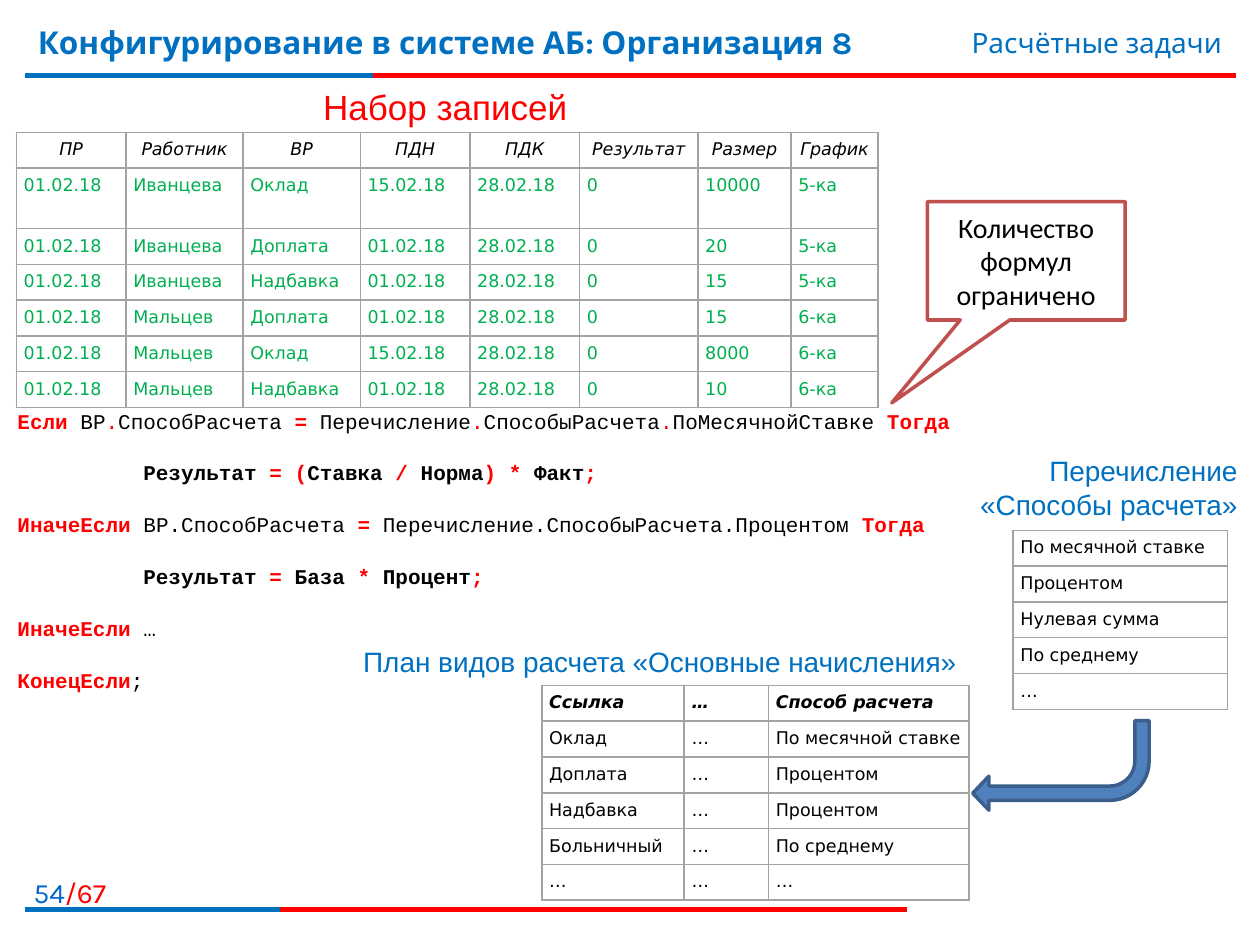
from lxml import etree
from pptx import Presentation
from pptx.dml.color import RGBColor
from pptx.enum.shapes import MSO_CONNECTOR, MSO_SHAPE
from pptx.enum.text import MSO_ANCHOR, MSO_AUTO_SIZE, PP_ALIGN
from pptx.oxml import parse_xml
from pptx.oxml.ns import nsdecls, qn
from pptx.util import Inches, Pt

LEFT, CENTER, RIGHT = PP_ALIGN.LEFT, PP_ALIGN.CENTER, PP_ALIGN.RIGHT
TOP, MIDDLE = MSO_ANCHOR.TOP, MSO_ANCHOR.MIDDLE
STRAIGHT = MSO_CONNECTOR.STRAIGHT

BLACK = RGBColor(0x00, 0x00, 0x00)
WHITE = RGBColor(0xFF, 0xFF, 0xFF)
RED = RGBColor(0xFF, 0x00, 0x00)
BLUE = RGBColor(0x00, 0x70, 0xC0)
NUMBER_BLUE = RGBColor(0x00, 0x66, 0xCC)
GREEN = RGBColor(0x00, 0xB0, 0x50)
CALLOUT_RED = RGBColor(0xC0, 0x50, 0x4D)
ARROW_FILL = RGBColor(0x4F, 0x81, 0xBD)
ARROW_EDGE = RGBColor(0x3A, 0x5F, 0x8C)
BORDER = "A3A3A3"

presentation = Presentation()
presentation.slide_width, presentation.slide_height = Inches(10), Inches(7.5)
# The slide is a grid of 100 columns by 75 rows, with square cells
CELL = presentation.slide_width // 100
slide = presentation.slides.add_slide(presentation.slide_layouts[5])
shapes = slide.shapes


def grid(*cells):
    return [round(cell * CELL) for cell in cells]


def write(paragraph, text, *, size, font, color, bold=False, italic=False, align=LEFT):
    paragraph.alignment = align
    run = paragraph.add_run()
    run.text = text
    run.font.size, run.font.name = Pt(size), font
    run.font.bold, run.font.italic = bold, italic
    run.font.color.rgb = color


# Header and footer rules: a red line with a blue start
for row, red_end, blue_end in [(6, 98.1, 29.6), (72.2, 72, 22.2)]:
    for end, color in [(red_end, RED), (blue_end, BLUE)]:
        rule = shapes.add_connector(STRAIGHT, *grid(2, row, end, row))
        rule.line.color.rgb, rule.line.width = color, Pt(3)
        etree.SubElement(rule._element.spPr, qn("a:effectLst"))

# Course title
course = shapes.title
course.left, course.top, course.width, course.height = grid(2, 1.3, 74, 6.2)
course.text_frame.vertical_anchor = TOP
course.text_frame.auto_size = MSO_AUTO_SIZE.NONE
write(course.text_frame.paragraphs[0], "Конфигурирование в системе АБ: Организация 8",
      size=18, font="Karla", color=BLUE, bold=True)

# Topic, slide number and captions: place, alignment, size, font, runs
labels = [
    ((59.4, 1.5, 38.6, 3.7), RIGHT, 16, "Karla", [("Расчётные задачи", BLUE)]),
    ((0, 69, 9.4, 3.2), RIGHT, 16, "Karla", [("54", NUMBER_BLUE), ("/67", RED)]),
    ((1.2, 6.3, 68.3, 4.4), CENTER, 20, "Arial", [("Набор записей", RED)]),
    ((72, 35.5, 27.2, 6.4), RIGHT, 16, "Arial", [("Перечисление «Способы расчета»", BLUE)]),
    ((26.4, 50.7, 50.5, 3.7), RIGHT, 16, "Arial",
     [("План видов расчета «Основные начисления»", BLUE)]),
]
for place, align, size, font, runs in labels:
    frame = shapes.add_textbox(*grid(*place)).text_frame
    frame.word_wrap = True
    for text, color in runs:
        write(frame.paragraphs[0], text, size=size, font=font, color=color, align=align)

# Tables
month_start, month_middle, month_end = "01.02.18", "15.02.18", "28.02.18"
entries = [
    ("Иванцева", "Оклад", month_middle, "10000", "5-ка"),
    ("Иванцева", "Доплата", month_start, "20", "5-ка"),
    ("Иванцева", "Надбавка", month_start, "15", "5-ка"),
    ("Мальцев", "Доплата", month_start, "15", "6-ка"),
    ("Мальцев", "Оклад", month_middle, "8000", "6-ка"),
    ("Мальцев", "Надбавка", month_start, "10", "6-ка"),
]
records = [("ПР", "Работник", "ВР", "ПДН", "ПДК", "Результат", "Размер", "График")]
for worker, kind, start, amount, schedule in entries:
    records.append((month_start, worker, kind, start, month_end, "0", amount, schedule))
charges = [
    ("Ссылка", "…", "Способ расчета"),
    ("Оклад", "…", "По месячной ставке"),
    ("Доплата", "…", "Процентом"),
    ("Надбавка", "…", "Процентом"),
    ("Больничный", "…", "По среднему"),
    ("…", "…", "…"),
]
methods = [("По месячной ставке",), ("Процентом",), ("Нулевая сумма",),
           ("По среднему",), ("…",)]

ROW = 2.78
TALL_ROW = 4.8
plain = dict(color=BLACK)
tables = [
    (records, (1.3, 10.5), (8.7, 9.3, 9.3, 8.7, 8.7, 9.4, 7.4, 6.9),
     dict(color=BLACK, italic=True, align=CENTER), dict(color=GREEN)),
    (charges, (43, 54.4), (11.3, 6.7, 15.9),
     dict(color=BLACK, bold=True, italic=True), plain),
    (methods, (80.4, 42.1), (17,), plain, plain),
]
for rows, corner, widths, head_format, body_format in tables:
    table = shapes.add_table(len(rows), len(widths),
                             *grid(*corner, sum(widths), ROW * len(rows))).table
    table.first_row = table.horz_banding = False
    for column, width in zip(table.columns, grid(*widths)):
        column.width = width
    for r, values in enumerate(rows):
        tall = rows is records and r == 1
        table.rows[r].height = grid(TALL_ROW if tall else ROW)[0]
        for c, value in enumerate(values):
            cell = table.cell(r, c)
            cell.margin_left = cell.margin_right = Pt(4.2)
            cell.margin_top = cell.margin_bottom = Pt(4.2)
            cell.fill.solid()
            cell.fill.fore_color.rgb = WHITE
            for i, side in enumerate(("lnL", "lnR", "lnT", "lnB")):
                cell._tc.get_or_add_tcPr().insert(i, parse_xml(
                    f'<a:{side} {nsdecls("a")} w="{Pt(1)}"><a:solidFill>'
                    f'<a:srgbClr val="{BORDER}"/></a:solidFill></a:{side}>'))
            write(cell.text_frame.paragraphs[0], value, size=10, font="DejaVu Sans",
                  **(body_format if r else head_format))

# Formula code: each run is a colour, a weight and a text
KEYWORD, NAME, DOT, RESULT = (RED, True), (BLACK, False), (RED, False), (BLACK, True)
code = [
    [(KEYWORD, "Если "), (NAME, "ВР"), (DOT, "."), (NAME, "СпособРасчета "),
     (KEYWORD, "= "), (NAME, "Перечисление"), (DOT, "."), (NAME, "СпособыРасчета"),
     (DOT, "."), (NAME, "ПоМесячнойСтавке "), (KEYWORD, "Тогда")],
    [(RESULT, "          Результат "), (KEYWORD, "= ("), (RESULT, "Ставка "),
     (KEYWORD, "/ "), (RESULT, "Норма"), (KEYWORD, ") * "), (RESULT, "Факт"),
     (KEYWORD, ";")],
    [(KEYWORD, "ИначеЕсли "), (NAME, "ВР.СпособРасчета "), (KEYWORD, "= "),
     (NAME, "Перечисление.СпособыРасчета.Процентом "), (KEYWORD, "Тогда")],
    [(RESULT, "          Результат "), (KEYWORD, "= "), (RESULT, "База "),
     (KEYWORD, "* "), (RESULT, "Процент"), (KEYWORD, ";")],
    [(KEYWORD, "ИначеЕсли"), (NAME, " …")],
    [(KEYWORD, "КонецЕсли"), (NAME, ";")],
]
frame = shapes.add_textbox(*grid(0.4, 31.9, 78.7, 23.2)).text_frame
frame.word_wrap = True
for number, line in enumerate(code):
    paragraph = frame.add_paragraph() if number else frame.paragraphs[0]
    if number:
        paragraph.space_before = Pt(15.2)
    for (color, bold), text in line:
        write(paragraph, text, size=12, font="Courier New", color=color, bold=bold)

# Callout and the arrow from the methods to the charges
callout = shapes.add_shape(MSO_SHAPE.RECTANGULAR_CALLOUT, *grid(73.6, 16, 15.7, 9.4))
arrow = shapes.add_shape(MSO_SHAPE.BENT_ARROW, *grid(77.2, 57.2, 14, 7.1))
arrow.rotation = 180
for shape, adjustments, fill, edge in [
    (callout, (-0.68, 1.2), WHITE, CALLOUT_RED),
    (arrow, (0.16, 0.19, 0.18, 0.44), ARROW_FILL, ARROW_EDGE),
]:
    shape.shadow.inherit = False
    shape.fill.solid()
    shape.fill.fore_color.rgb = fill
    shape.line.color.rgb, shape.line.width = edge, Pt(2)
    for i, adjustment in enumerate(adjustments):
        shape.adjustments[i] = adjustment
callout.text_frame.word_wrap = True
callout.text_frame.vertical_anchor = MIDDLE
write(callout.text_frame.paragraphs[0], "Количество формул ограничено",
      size=16, font="Calibri", color=BLACK, align=CENTER)

presentation.save("out.pptx")
